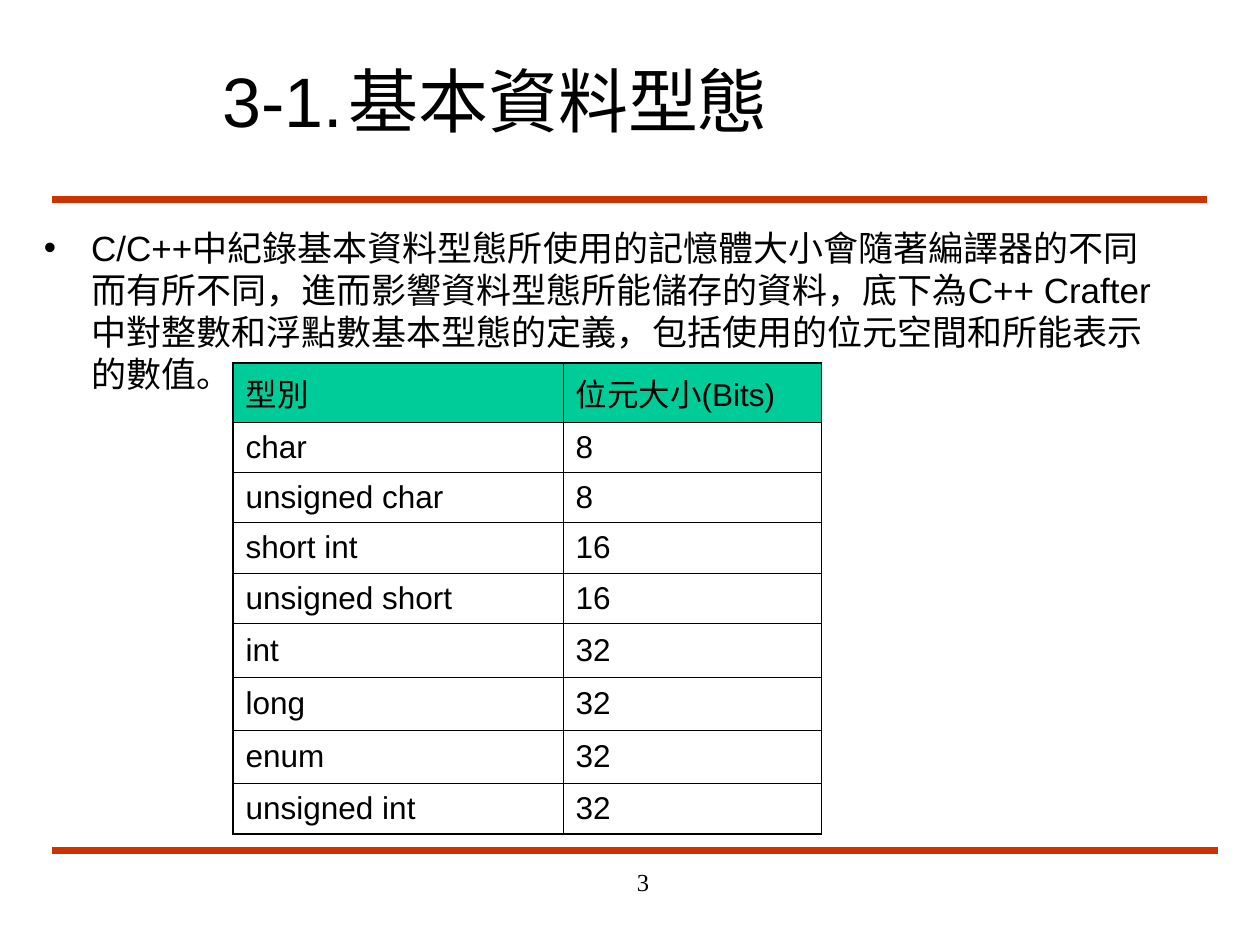
from dataclasses import dataclass

from lxml.etree import SubElement
from pptx import Presentation
from pptx.dml.color import RGBColor
from pptx.enum.shapes import MSO_CONNECTOR
from pptx.enum.text import MSO_ANCHOR, PP_ALIGN
from pptx.oxml import parse_xml
from pptx.oxml.ns import nsdecls, qn
from pptx.util import Pt


@dataclass(frozen=True)
class Theme:
    """Colours, fonts and sizes of the slide."""
    ink: str = "000000"
    rule: str = "CC3300"
    header: str = "00CC99"
    sans: str = "Arial"
    serif: str = "Times New Roman"
    title_size: float = 40
    body_size: float = 20
    table_size: float = 18
    page_size: float = 14
    rule_width: float = 4.5
    outer_border: float = 1.08
    inner_border: float = 0.45


THEME = Theme()
BODY = ("C/C++中紀錄基本資料型態所使用的記憶體大小會隨著編譯器的不同而有所不同，"
        "進而影響資料型態所能儲存的資料，底下為C++ Crafter中對整數和浮點數基本型態的定義，"
        "包括使用的位元空間和所能表示的數值。")
TYPE_ROWS = [
    ("型別", "位元大小(Bits)", 33.7),
    ("char", "8", 28.1),
    ("unsigned char", "8", 28.1),
    ("short int", "16", 28.1),
    ("unsigned short", "16", 28.1),
    ("int", "32", 30.5),
    ("long", "32", 30.5),
    ("enum", "32", 30.5),
    ("unsigned int", "32", 28.1),
]
COLUMN_WIDTHS = (188.6, 147.6)


def add_span(para, text, size, font=THEME.sans):
    """Append one styled run to a paragraph."""
    span = para.add_run()
    span.text = text
    span.font.size = Pt(size)
    span.font.name = font
    span.font.color.rgb = RGBColor.from_string(THEME.ink)


def add_text(page, left, top, width, height, text, size, font=THEME.sans,
             anchor=MSO_ANCHOR.TOP):
    """Add a wrapped text box and return its paragraph."""
    box = page.shapes.add_textbox(Pt(left), Pt(top), Pt(width), Pt(height))
    frame = box.text_frame
    frame.word_wrap = True
    frame.vertical_anchor = anchor
    para = frame.paragraphs[0]
    add_span(para, text, size, font)
    return para


def add_bullet(para, indent):
    """Give a paragraph a hanging round bullet."""
    properties = para._p.get_or_add_pPr()
    properties.set("marL", str(Pt(indent)))
    properties.set("indent", str(-Pt(indent)))
    SubElement(properties, qn("a:buFont"), typeface=THEME.sans)
    SubElement(properties, qn("a:buChar"), char="•")


def add_rule(page, left, right, height):
    """Draw a horizontal rule across the page."""
    rule = page.shapes.add_connector(
        MSO_CONNECTOR.STRAIGHT, Pt(left), Pt(height), Pt(right), Pt(height))
    rule.line.color.rgb = RGBColor.from_string(THEME.rule)
    rule.line.width = Pt(THEME.rule_width)
    SubElement(rule._element.spPr, qn("a:effectLst"))


def set_borders(cell, outer_sides):
    """Draw four cell borders, heavier on the outer sides."""
    properties = cell._tc.get_or_add_tcPr()
    for position, side in enumerate("LRTB"):
        width = THEME.outer_border if side in outer_sides else THEME.inner_border
        properties.insert(position, parse_xml(
            f'<a:ln{side} {nsdecls("a")} w="{Pt(width)}"><a:solidFill>'
            f'<a:srgbClr val="{THEME.ink}"/></a:solidFill></a:ln{side}>'))


def add_type_table(page, left, top):
    """Add the table of data types and their sizes."""
    height = sum(row[-1] for row in TYPE_ROWS)
    table = page.shapes.add_table(
        len(TYPE_ROWS), len(COLUMN_WIDTHS), Pt(left), Pt(top),
        Pt(sum(COLUMN_WIDTHS)), Pt(height)).table
    table.first_row = table.horz_banding = False
    for column, width in zip(table.columns, COLUMN_WIDTHS):
        column.width = Pt(width)
    last = len(TYPE_ROWS) - 1
    for row, (*texts, row_height) in enumerate(TYPE_ROWS):
        table.rows[row].height = Pt(row_height)
        for column, text in enumerate(texts):
            cell = table.cell(row, column)
            cell.vertical_anchor = MSO_ANCHOR.MIDDLE
            add_span(cell.text_frame.paragraphs[0], text, THEME.table_size)
            if row == 0:
                cell.fill.solid()
                cell.fill.fore_color.rgb = RGBColor.from_string(THEME.header)
            else:
                cell.fill.background()
            vertical = {0: "T", last: "B"}.get(row, "")
            set_borders(cell, "LR"[column] + vertical)


def main():
    """Build and save the slide."""
    deck = Presentation()
    deck.slide_width, deck.slide_height = Pt(720), Pt(540)
    page = deck.slides.add_slide(deck.slide_layouts[6])
    add_rule(page, 30, 690, 114)
    add_rule(page, 30, 696, 486)
    add_text(page, 120, 24, 546, 66, "3-1.\t基本資料型態", THEME.title_size,
             anchor=MSO_ANCHOR.MIDDLE)
    body = add_text(page, 18, 126, 659.5, 155.5, BODY, THEME.body_size)
    add_bullet(body, 27)
    add_type_table(page, 133.2, 207.4)
    number = add_text(page, 228, 492, 150, 36, "3", THEME.page_size, THEME.serif)
    number.alignment = PP_ALIGN.RIGHT
    deck.save("out.pptx")


if __name__ == "__main__":
    main()
